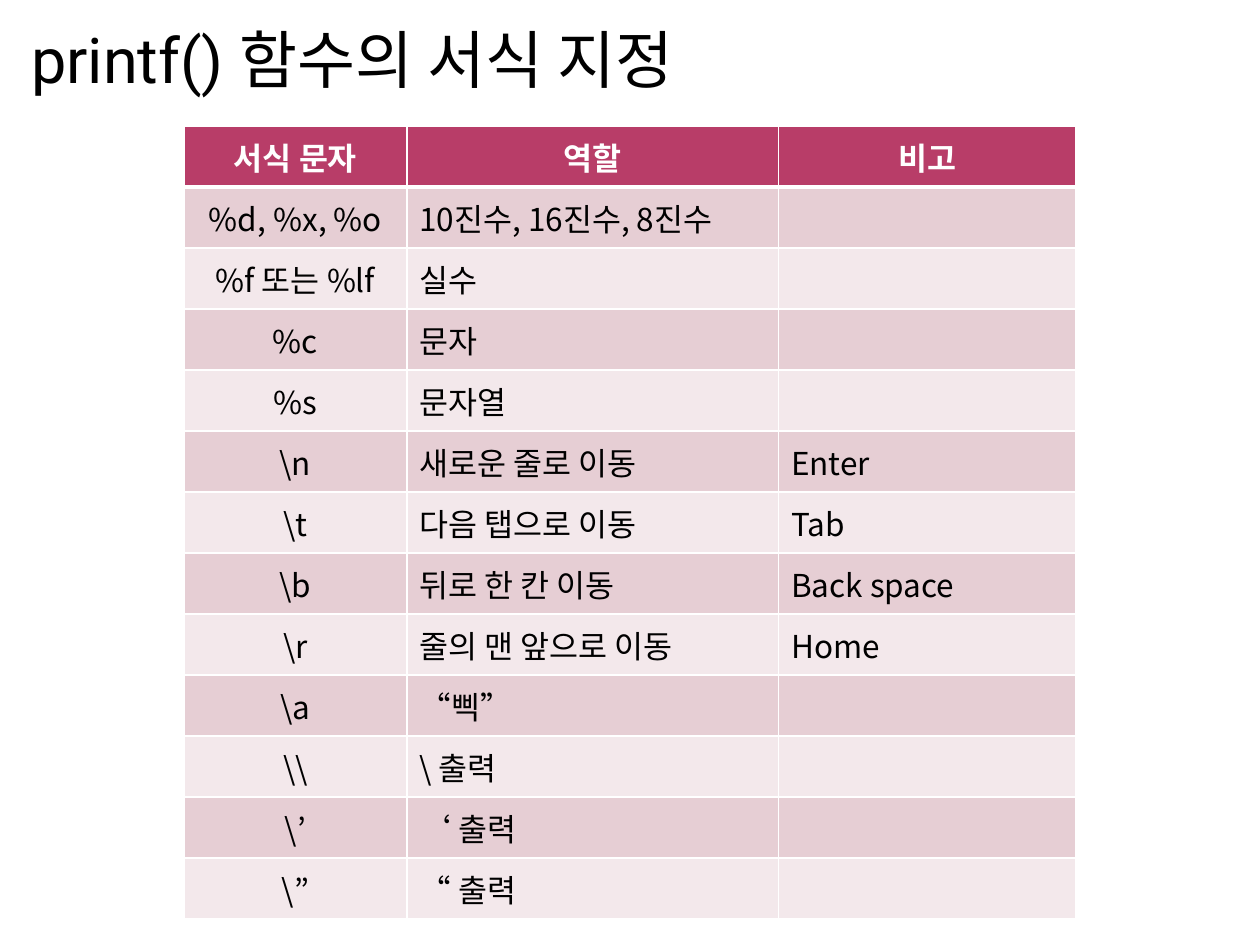
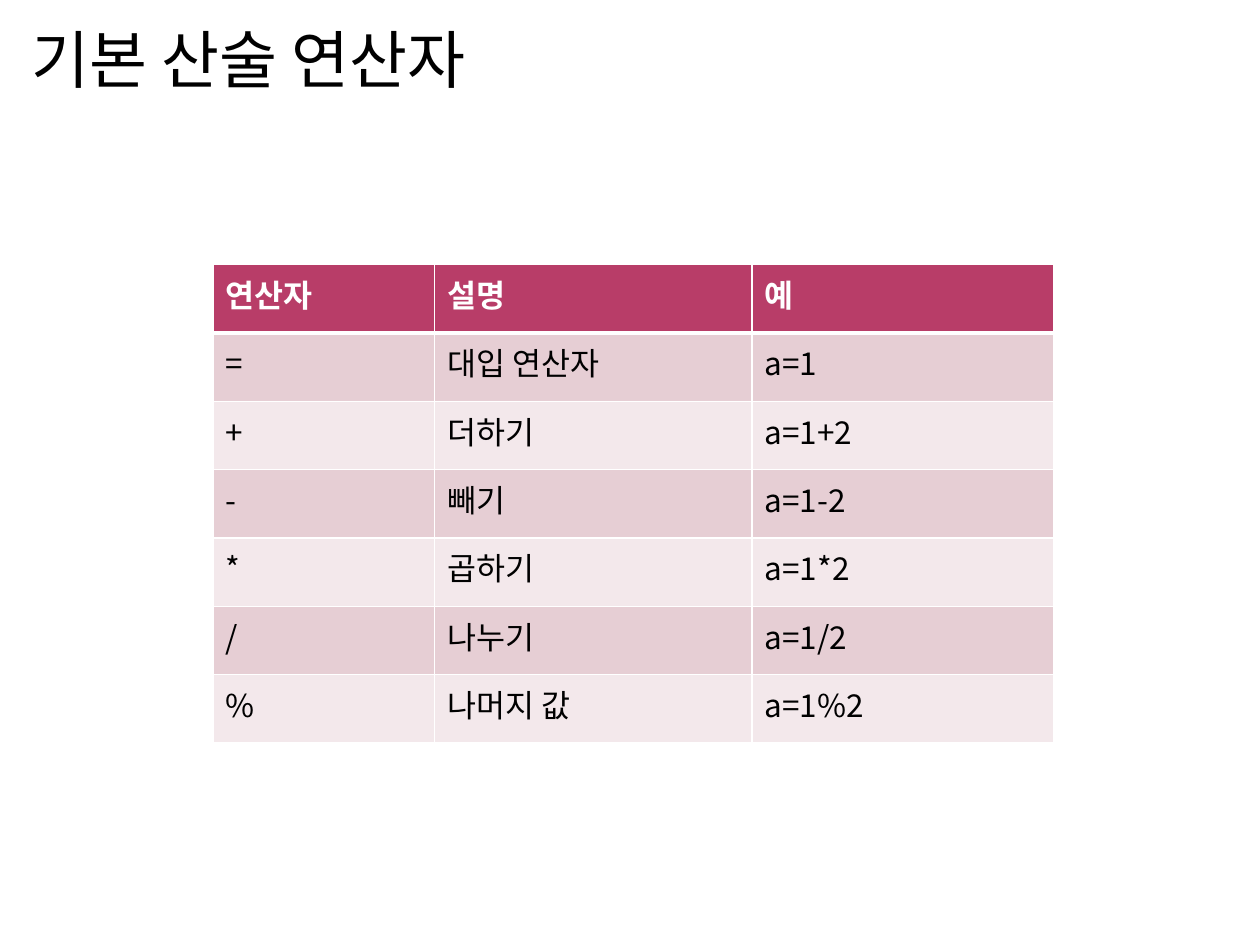
from lxml import etree
from pptx import Presentation
from pptx.dml.color import RGBColor
from pptx.enum.text import MSO_ANCHOR, PP_ALIGN
from pptx.oxml.ns import qn
from pptx.util import Inches, Pt

MIDDLE, TOP = MSO_ANCHOR.MIDDLE, MSO_ANCHOR.TOP
LEFT, CENTER = PP_ALIGN.LEFT, PP_ALIGN.CENTER

SLIDE_SIZE = (10, 7.5)
TITLE_FRAME = (0.15, 0.12, 9, 0.69)
COLORS = {"header": "B83D68", "odd": "E6CED4", "even": "F3E8EB",
          "rule": "FFFFFF", "light": "FFFFFF", "dark": "000000"}
KOREAN_FONT = "Noto Sans CJK KR"
TITLE_STYLE = {"name": "Roboto", "size": Pt(36), "bold": False}
HEADER_STYLE = {"name": KOREAN_FONT, "size": Pt(18), "bold": True}
BODY_STYLE = {"name": KOREAN_FONT, "size": Pt(18), "bold": False}
THIN, THICK = 1, 3

PAGES = [
    {
        "title": "printf() 함수의 서식 지정",
        "origin": (1.46, 1),
        "columns": (1.77, 2.95, 2.36),
        "height": 6.3,
        "anchor": MIDDLE,
        "header_align": CENTER,
        "body_align": (CENTER, LEFT, LEFT),
        "rows": [
            ("서식 문자", "역할", "비고"),
            ("%d, %x, %o", "10진수, 16진수, 8진수", ""),
            ("%f 또는 %lf", "실수", ""),
            ("%c", "문자", ""),
            ("%s", "문자열", ""),
            (r"\n", "새로운 줄로 이동", "Enter"),
            (r"\t", "다음 탭으로 이동", "Tab"),
            (r"\b", "뒤로 한 칸 이동", "Back space"),
            (r"\r", "줄의 맨 앞으로 이동", "Home"),
            (r"\a", "“삑”", ""),
            (r"\\", r"\ 출력", ""),
            (r"\’", "‘ 출력", ""),
            (r"\”", "“ 출력", ""),
        ],
    },
    {
        "title": "기본 산술 연산자",
        "origin": (1.69, 2.1),
        "columns": (1.76, 2.52, 2.39),
        "height": 3.8,
        "anchor": TOP,
        "header_align": LEFT,
        "body_align": (LEFT, LEFT, LEFT),
        "rows": [
            ("연산자", "설명", "예"),
            ("=", "대입 연산자", "a=1"),
            ("+", "더하기", "a=1+2"),
            ("-", "빼기", "a=1-2"),
            ("*", "곱하기", "a=1*2"),
            ("/", "나누기", "a=1/2"),
            ("%", "나머지 값", "a=1%2"),
        ],
    },
]


def write_text(frame, text, style, color, align):
    para = frame.paragraphs[0]
    para.alignment = align
    if not text:
        return
    span = para.add_run()
    span.text = text
    for name, value in style.items():
        setattr(span.font, name, value)
    span.font.color.rgb = RGBColor.from_string(COLORS[color])
    east_asian = etree.SubElement(span.font._element, qn("a:ea"))
    east_asian.set("typeface", KOREAN_FONT)


def set_borders(cell, top, bottom):
    properties = cell._tc.get_or_add_tcPr()
    sides = {"L": THIN, "R": THIN, "T": top, "B": bottom}
    for position, (side, width) in enumerate(sides.items()):
        line = etree.Element(qn(f"a:ln{side}"), w=str(Pt(width)))
        fill = etree.SubElement(line, qn("a:solidFill"))
        etree.SubElement(fill, qn("a:srgbClr"), val=COLORS["rule"])
        properties.insert(position, line)


def add_title(page, text):
    box = page.shapes.add_textbox(*map(Inches, TITLE_FRAME))
    box.text_frame.word_wrap = True
    box.text_frame.vertical_anchor = MIDDLE
    write_text(box.text_frame, text, TITLE_STYLE, "dark", LEFT)


def add_grid(page, content):
    rows, columns = content["rows"], content["columns"]
    frame = (*content["origin"], sum(columns), content["height"])
    table = page.shapes.add_table(len(rows), len(columns), *map(Inches, frame)).table
    for column, width in zip(table.columns, columns):
        column.width = Inches(width)
    for row_index, texts in enumerate(rows):
        is_header = row_index == 0
        table.rows[row_index].height = Inches(content["height"] / len(rows))
        band = "header" if is_header else ("even", "odd")[row_index % 2]
        style, color = (HEADER_STYLE, "light") if is_header else (BODY_STYLE, "dark")
        for column_index, text in enumerate(texts):
            cell = table.cell(row_index, column_index)
            cell.vertical_anchor = content["anchor"]
            cell.fill.solid()
            cell.fill.fore_color.rgb = RGBColor.from_string(COLORS[band])
            set_borders(cell, THICK if row_index == 1 else THIN,
                        THICK if is_header else THIN)
            align = content["header_align"] if is_header else content["body_align"][column_index]
            write_text(cell.text_frame, text, style, color, align)


def main():
    deck = Presentation()
    deck.slide_width, deck.slide_height = map(Inches, SLIDE_SIZE)
    blank = deck.slide_layouts[6]
    for content in PAGES:
        page = deck.slides.add_slide(blank)
        add_title(page, content["title"])
        add_grid(page, content)
    deck.save("out.pptx")


if __name__ == "__main__":
    main()
